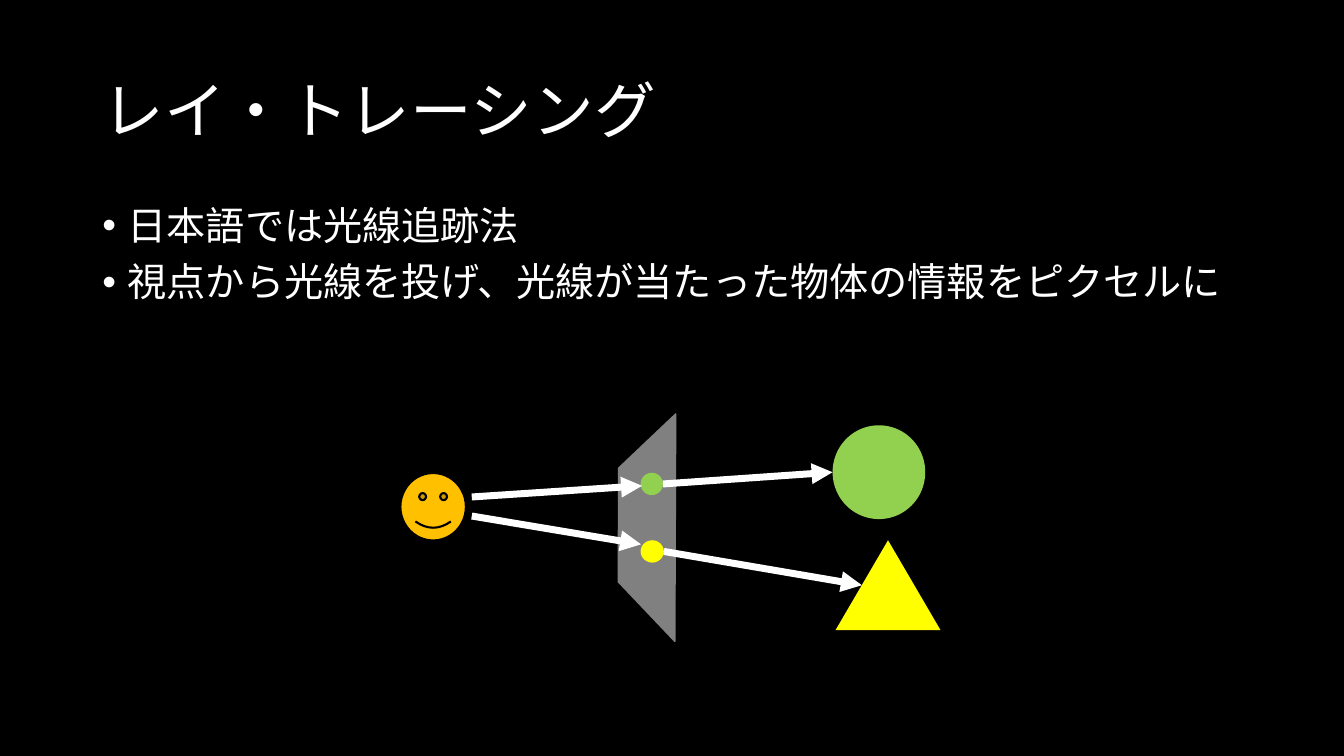
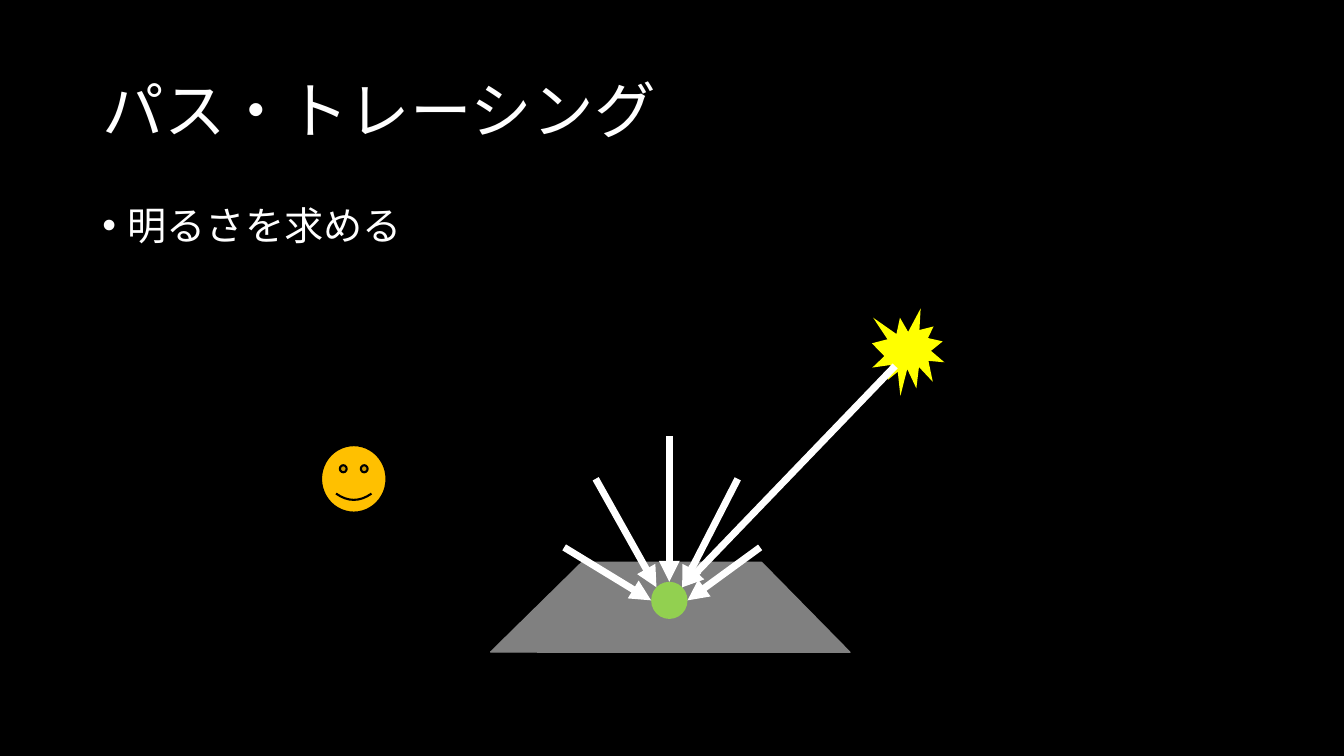
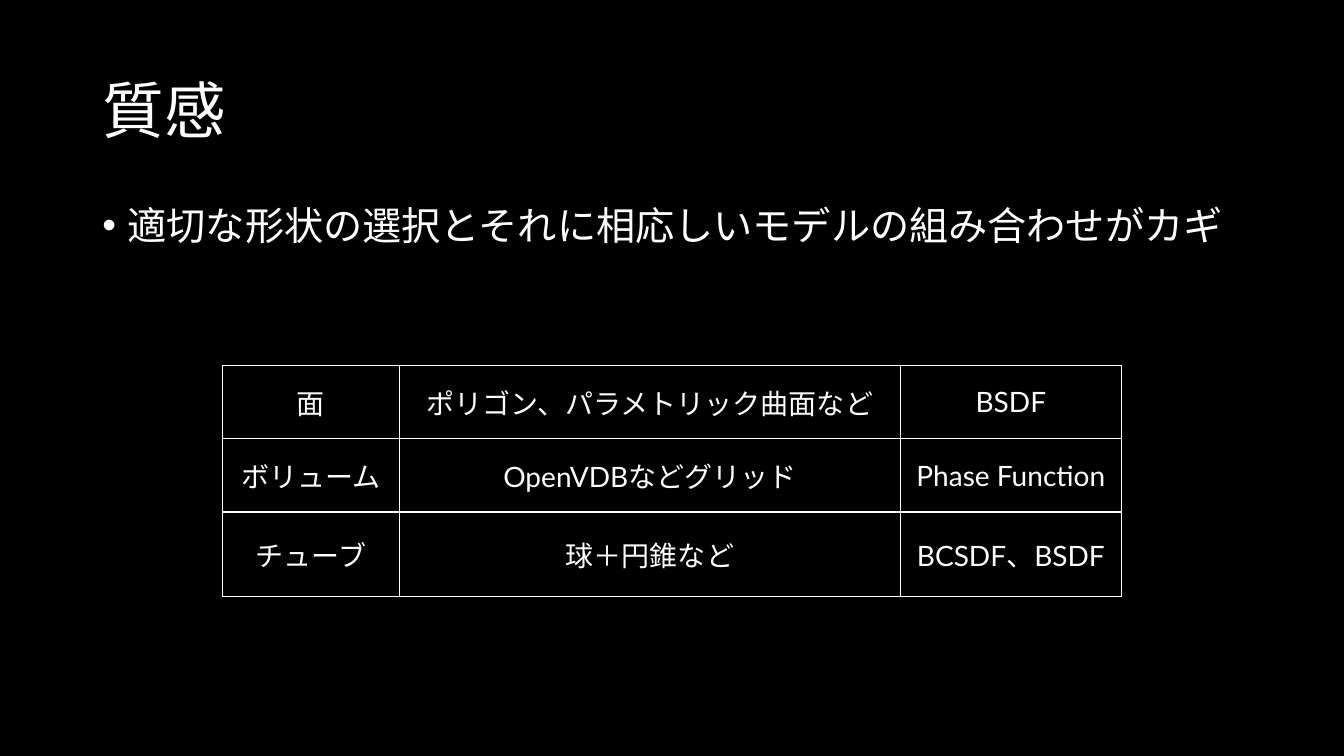
"""Build three slides on ray tracing, path tracing and materials."""
import math

from lxml import etree
from pptx import Presentation
from pptx.dml.color import RGBColor
from pptx.enum import shapes, text
from pptx.oxml import ns
from pptx.util import Pt

COLORS = {
    "black": "000000",
    "white": "FFFFFF",
    "gray": "808080",
    "green": "92D050",
    "yellow": "FFFF00",
    "orange": "FFC000",
}
SHAPE = shapes.MSO_SHAPE


def color(name):
    """Return the named colour of the palette."""
    return RGBColor.from_string(COLORS[name])


def add_xml(parent, tag, **attributes):
    """Append a DrawingML element and return it."""
    return etree.SubElement(parent, ns.qn(tag), attributes)


def write(para, content, size=20, font="Lato", align=text.PP_ALIGN.LEFT, spacing=1.0, before=0):
    """Add a formatted span to a paragraph."""
    para.alignment = align
    para.line_spacing = spacing
    para.space_before = Pt(before)
    span = para.add_run()
    span.text = content
    span.font.size = Pt(size)
    span.font.name = font
    span.font.color.rgb = color("white")


def rim(ellipse, degrees):
    """Return the point of an ellipse's edge at an angle, in points."""
    angle = math.radians(degrees)
    across, down = ellipse.width.pt / 2, ellipse.height.pt / 2
    return (ellipse.left.pt + across * (1 + math.cos(angle)),
            ellipse.top.pt + down * (1 - math.sin(angle)))


class Slides:
    """Hold the shared style and the current page."""

    def __init__(self):
        """Start a black widescreen deck."""
        self.deck = Presentation()
        self.deck.slide_width, self.deck.slide_height = Pt(960), Pt(540)
        fill = self.deck.slide_master.background.fill
        fill.solid()
        fill.fore_color.rgb = color("black")
        self.page = None

    def place(self, box, left, top, width, height, anchor):
        """Move a placeholder and return its text frame."""
        box.left, box.top, box.width, box.height = map(Pt, (left, top, width, height))
        frame = box.text_frame
        frame.auto_size = text.MSO_AUTO_SIZE.NONE
        frame.word_wrap = True
        frame.vertical_anchor = anchor
        return frame

    def add_page(self, title, bullets):
        """Add a page with a title and a bullet list."""
        self.page = self.deck.slides.add_slide(self.deck.slide_layouts[1])
        heading, body = self.page.placeholders
        frame = self.place(heading, 66, 28.8, 828, 104.4, text.MSO_ANCHOR.MIDDLE)
        write(frame.paragraphs[0], title, size=44, spacing=0.9)
        frame = self.place(body, 66, 144, 828, 342.7, text.MSO_ANCHOR.TOP)
        for index, bullet in enumerate(bullets):
            para = frame.add_paragraph() if index else frame.paragraphs[0]
            properties = para._p.get_or_add_pPr()
            properties.set("marL", str(Pt(18)))
            properties.set("indent", str(Pt(-18)))
            add_xml(properties, "a:buFont", typeface="Arial")
            add_xml(properties, "a:buChar", char="•")
            write(para, bullet, size=28, spacing=0.9, before=10 if index else 0)

    def add_shape(self, kind, left, top, width, height, fill, line=None, weight=1, rotation=0):
        """Add a filled preset shape."""
        shape = self.page.shapes.add_shape(kind, *map(Pt, (left, top, width, height)))
        shape.shadow.inherit = False
        shape.rotation = rotation
        shape.fill.solid()
        shape.fill.fore_color.rgb = color(fill)
        if line:
            shape.line.color.rgb = color(line)
            shape.line.width = Pt(weight)
        else:
            shape.line.fill.background()
        return shape

    def add_viewer(self, left, top):
        """Add the smiling viewer."""
        self.add_shape(SHAPE.SMILEY_FACE, left, top, 46.8, 48.2, "orange", "black", 1.5)

    def add_plane(self, left, top, width, height, rotation):
        """Add a gray plane seen in perspective."""
        self.add_shape(SHAPE.DIAGONAL_STRIPE, left, top, width, height, "gray", "gray",
                       rotation=rotation)

    def add_ray(self, start, end):
        """Add a white arrow between two points."""
        ray = self.page.shapes.add_connector(
            shapes.MSO_CONNECTOR.STRAIGHT, *map(Pt, (*start, *end)))
        ray.line.color.rgb = color("white")
        ray.line.width = Pt(5)
        add_xml(ray.line._get_or_add_ln(), "a:tailEnd", type="triangle")
        add_xml(ray._element.spPr, "a:effectLst")

    def add_table(self, left, top, widths, row_height, rows):
        """Add a ruled table; each cell lists text and font pairs."""
        table = self.page.shapes.add_table(
            len(rows), len(widths),
            *map(Pt, (left, top, sum(widths), row_height * len(rows)))).table
        table.first_row = table.horz_banding = False
        for column, width in zip(table.columns, widths):
            column.width = Pt(width)
        for row, contents in zip(table.rows, rows):
            row.height = Pt(row_height)
            for cell, spans in zip(row.cells, contents):
                self.rule_cell(cell)
                for content, font in spans:
                    write(cell.text_frame.paragraphs[0], content, font=font,
                          align=text.PP_ALIGN.CENTER)

    def rule_cell(self, cell):
        """Give a cell white borders, no fill and a middle anchor."""
        cell.vertical_anchor = text.MSO_ANCHOR.MIDDLE
        properties = cell._tc.get_or_add_tcPr()
        for side in "LRTB":
            border = add_xml(properties, f"a:ln{side}", w=str(Pt(1)))
            fill = add_xml(border, "a:solidFill")
            add_xml(fill, "a:srgbClr", val=COLORS["white"])
        cell.fill.background()


def draw_ray_tracing(slides):
    """Draw rays from the viewer through the screen to two objects."""
    slides.add_page("レイ・トレーシング", [
        "日本語では光線追跡法",
        "視点から光線を投げ、光線が当たった物体の情報をピクセルに",
    ])
    slides.add_plane(426.2, 318.2, 112.3, 117.4, 316.5)
    ball = slides.add_shape(SHAPE.OVAL, 594.7, 303.8, 66.2, 67, "green")
    ball_pixel = slides.add_shape(SHAPE.OVAL, 457.6, 337.7, 16, 16, "green")
    cone_pixel = slides.add_shape(SHAPE.OVAL, 457.6, 385.9, 16.6, 16, "yellow")
    slides.add_shape(SHAPE.ISOSCELES_TRIANGLE, 596.9, 385.9, 74.9, 64.1, "yellow")
    slides.add_viewer(286, 337.9)
    slides.add_ray(rim(ball_pixel, 0), rim(ball, 180))
    slides.add_ray(rim(cone_pixel, 0), (615.6, 418))
    slides.add_ray((337, 368.6), (457.9, 388.8))
    slides.add_ray((337, 355), (458.6, 347))


def draw_path_tracing(slides):
    """Draw light gathering at one point of a surface."""
    slides.add_page("パス・トレーシング", ["明るさを求める"])
    slides.add_shape(SHAPE.EXPLOSION1, 622.8, 220.3, 51.8, 62.6, "yellow")
    slides.add_plane(388.8, 374.4, 180, 182.9, 45.5)
    point = slides.add_shape(SHAPE.OVAL, 465.1, 415.6, 26, 26.5, "green")
    slides.add_viewer(229.3, 318)
    arrivals = [
        ((478.1, 311.8), 90),
        ((527, 342), 45),
        ((425.5, 342), 135),
        ((543, 391), 0),
        ((403, 391), 180),
        ((639.4, 261.4), 45),
    ]
    for start, degrees in arrivals:
        slides.add_ray(start, rim(point, degrees))


def draw_materials(slides):
    """Draw the table of shapes and scattering models."""
    slides.add_page("質感", ["適切な形状の選択とそれに相応しいモデルの組み合わせがカギ"])
    kana, latin = "Calibri", "Lato"
    slides.add_table(158.8, 260.9, [126.6, 357.8, 157.8], 52.4, [
        [[("面", kana)], [("ポリゴン、パラメトリック曲面など", kana)], [("BSDF", latin)]],
        [[("ボリューム", kana)], [("OpenVDB", latin), ("などグリッド", kana)],
         [("Phase Function", latin)]],
        [[("チューブ", kana)], [("球＋円錐など", kana)], [("BCSDF、BSDF", latin)]],
    ])


def main():
    """Build and save the deck."""
    slides = Slides()
    draw_ray_tracing(slides)
    draw_path_tracing(slides)
    draw_materials(slides)
    slides.deck.save("out.pptx")


if __name__ == "__main__":
    main()
